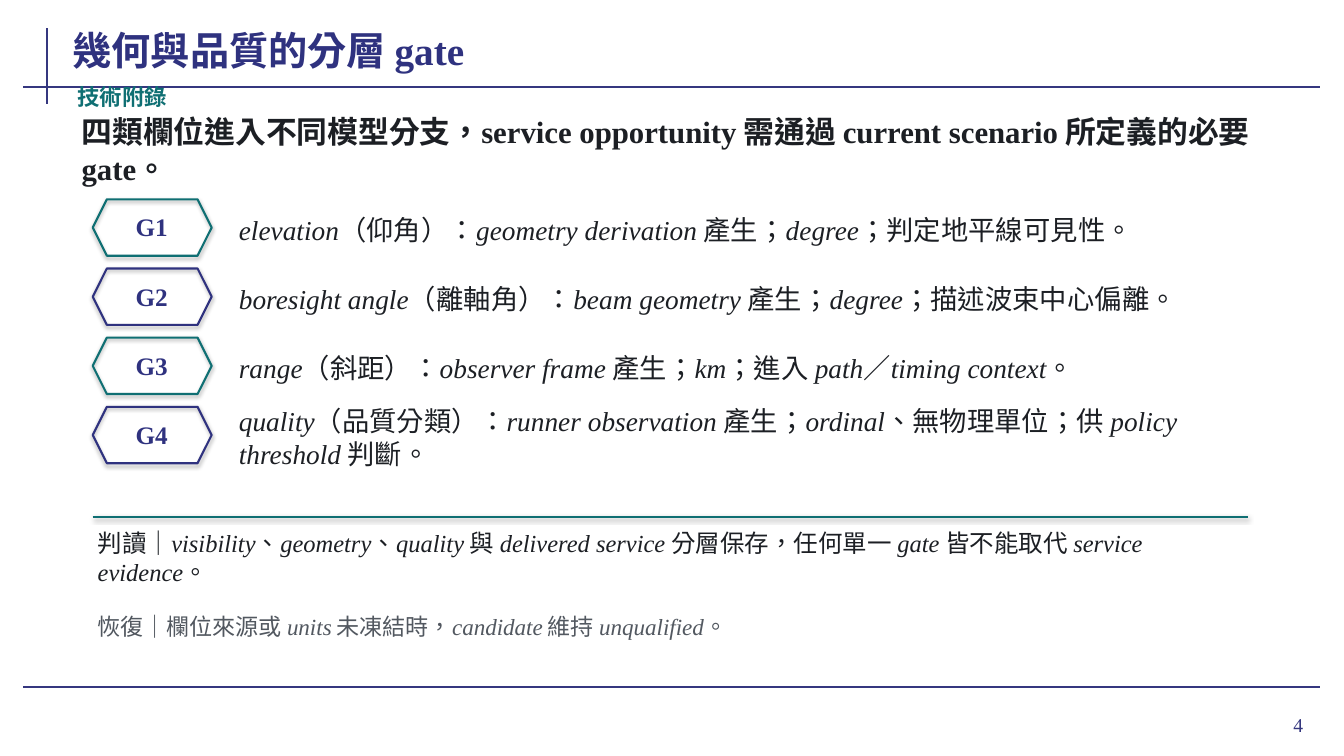
from lxml.etree import SubElement
from pptx import Presentation
from pptx.dml.color import RGBColor
from pptx.enum.shapes import MSO_CONNECTOR, MSO_SHAPE
from pptx.enum.text import MSO_ANCHOR, MSO_AUTO_SIZE, PP_ALIGN
from pptx.oxml.ns import qn
from pptx.util import Pt

NAVY = RGBColor(0x2F, 0x32, 0x7F)
FRAME = RGBColor(0x35, 0x37, 0x7F)
TEAL = RGBColor(0x0F, 0x6F, 0x73)
INK = RGBColor(0x1C, 0x1F, 0x24)
GREY = RGBColor(0x52, 0x58, 0x60)
LATIN = "Times New Roman"
CJK = "Noto Sans CJK SC"

GATES = [
    "*elevation*（仰角）：*geometry derivation* 產生；*degree*；判定地平線可見性。",
    "*boresight angle*（離軸角）：*beam geometry* 產生；*degree*；描述波束中心偏離。",
    "*range*（斜距）：*observer frame* 產生；*km*；進入 *path*／*timing context*。",
    "*quality*（品質分類）：*runner observation* 產生；*ordinal*、無物理單位；供 *policy threshold* 判斷。",
]
GATE_TOP = 142.4
GATE_PITCH = 49.4


def write_mixed(paragraph, text, size, color, bold=False, italic=False):
    paragraph.font.size = Pt(size)
    paragraph.font.color.rgb = color
    paragraph.font.bold = bold
    for index, part in enumerate(text.split("*")):
        if not part:
            continue
        is_latin = index % 2 == 1
        run = paragraph.add_run()
        run.text = part
        run.font.name = LATIN if is_latin else CJK
        if is_latin and italic:
            run.font.italic = True
        properties = run._r.get_or_add_rPr()
        properties.set("lang", "en-US" if is_latin else "zh-TW")
        SubElement(properties, qn("a:ea"), typeface=CJK)


def add_text(slide, box, text, size, color, align=PP_ALIGN.LEFT, **style):
    frame = slide.shapes.add_textbox(*map(Pt, box)).text_frame
    frame.word_wrap = True
    frame.auto_size = MSO_AUTO_SIZE.SHAPE_TO_FIT_TEXT
    frame.vertical_anchor = MSO_ANCHOR.MIDDLE
    frame.margin_left = frame.margin_right = Pt(3.6)
    frame.margin_top = frame.margin_bottom = Pt(3.6)
    paragraph = frame.paragraphs[0]
    paragraph.alignment = align
    write_mixed(paragraph, text, size, color, **style)


def set_shadow(shape, opacity=0, distance=0):
    effects = SubElement(shape._element.spPr, qn("a:effectLst"))
    if opacity:
        shadow = SubElement(effects, qn("a:outerShdw"), blurRad=str(Pt(3.1)),
                            dist=str(Pt(distance)), dir="5400000", rotWithShape="0")
        black = SubElement(shadow, qn("a:srgbClr"), val="000000")
        SubElement(black, qn("a:alpha"), val=str(opacity * 1000))


def add_rule(slide, ends, color, width=1.5, **shadow):
    rule = slide.shapes.add_connector(MSO_CONNECTOR.STRAIGHT, *map(Pt, ends))
    rule.line.color.rgb = color
    rule.line.width = Pt(width)
    set_shadow(rule, **shadow)


def add_title(slide, text):
    title = slide.shapes.title
    title.left, title.top, title.width, title.height = map(Pt, (51.84, 14.4, 745.2, 38.16))
    frame = title.text_frame
    frame.margin_left = frame.margin_right = frame.margin_top = frame.margin_bottom = 0
    frame.word_wrap = False
    frame.auto_size = MSO_AUTO_SIZE.NONE
    frame.vertical_anchor = MSO_ANCHOR.BOTTOM
    frame.paragraphs[0].alignment = PP_ALIGN.LEFT
    write_mixed(frame.paragraphs[0], text, 28, NAVY, bold=True)


def add_gate(slide, index, description):
    top = GATE_TOP + index * GATE_PITCH
    badge = slide.shapes.add_shape(MSO_SHAPE.HEXAGON, Pt(66.24), Pt(top), Pt(84.96), Pt(40.32))
    badge.fill.background()
    badge.line.color.rgb = NAVY if index % 2 else TEAL
    badge.line.width = Pt(1.5)
    set_shadow(badge, opacity=35, distance=1.8)
    add_text(slide, (70.56, top + 4.5, 75.6, 30.24), f"*G{index + 1}*", 18, NAVY,
             PP_ALIGN.CENTER, bold=True)
    add_text(slide, (167.04, top - 0.6, 727.2, 43.92), description, 19.5, INK, italic=True)


def main():
    deck = Presentation()
    deck.slide_width, deck.slide_height = Pt(960), Pt(540)
    slide = deck.slides.add_slide(deck.slide_layouts[5])

    for ends in ((33.84, 20.16, 33.84, 74.16), (16.56, 61.92, 943.2, 61.92),
                 (16.56, 491.04, 943.2, 491.04)):
        add_rule(slide, ends, FRAME)
    add_text(slide, (864.72, 498.96, 69.84, 37.44), "*4*", 14, FRAME, PP_ALIGN.RIGHT)

    add_title(slide, "幾何與品質的分層 *gate*")
    add_text(slide, (51.84, 59.04, 111.6, 19.44), "技術附錄", 16, TEAL, bold=True)
    add_text(slide, (54.72, 80.64, 860.4, 51.84),
             "四類欄位進入不同模型分支，*service opportunity* 需通過 *current scenario* 所定義的必要 *gate*。",
             22, INK, bold=True)

    for index, description in enumerate(GATES):
        add_gate(slide, index, description)

    add_rule(slide, (66.24, 369.36, 891.36, 369.36), TEAL, 1.6, opacity=38, distance=1.6)
    add_text(slide, (66.24, 372.96, 825.12, 50.4),
             "判讀｜*visibility*、*geometry*、*quality* 與 *delivered service* 分層保存，"
             "任何單一 *gate* 皆不能取代 *service evidence*。", 17.5, INK, italic=True)
    add_text(slide, (66.24, 426.24, 825.12, 41.76),
             "恢復｜欄位來源或 *units* 未凍結時，*candidate* 維持 *unqualified*。", 16.5, GREY, italic=True)
    deck.save("out.pptx")


if __name__ == "__main__":
    main()
